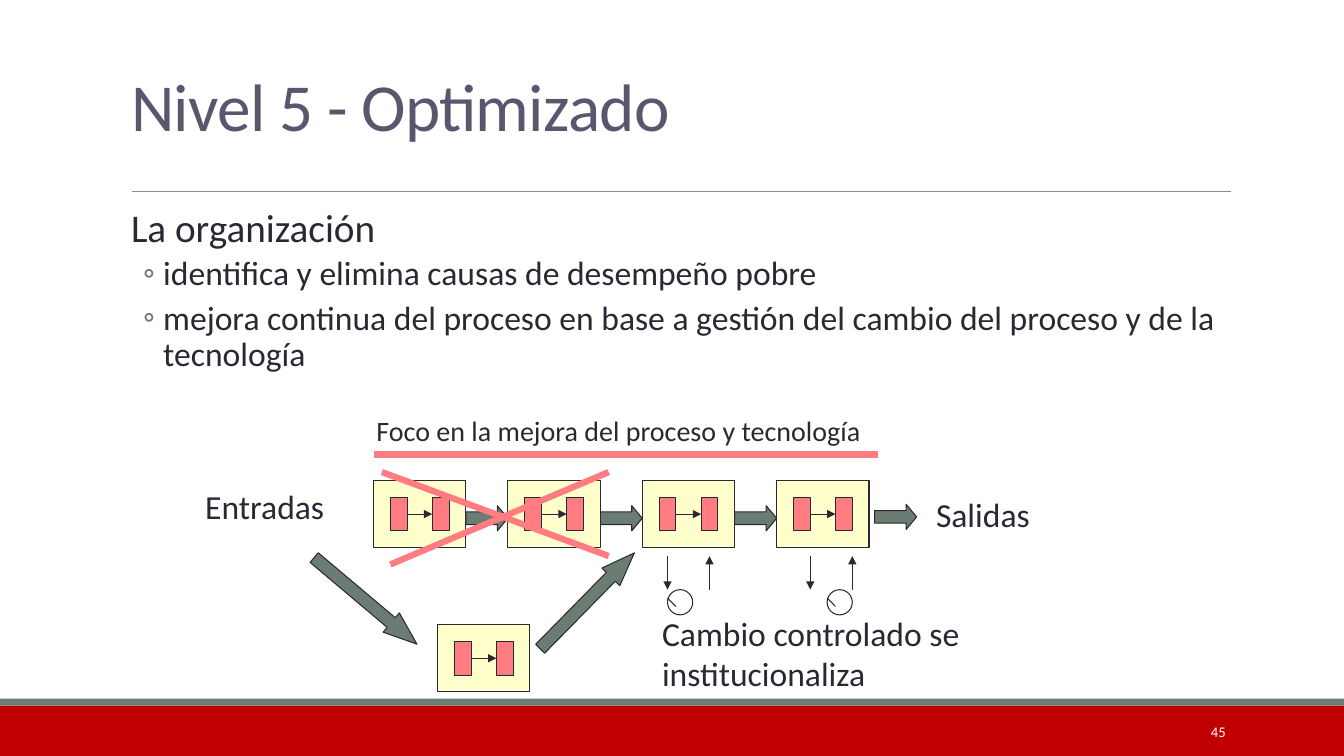
from lxml import etree
from pptx import Presentation
from pptx import util as u
from pptx.dml.color import RGBColor
from pptx.enum import shapes, text
from pptx.oxml import ns

Pt = u.Pt
FONT = "Calibri"
COLORS = {
    "ink": "292934", "title": "57576E", "rule": "8A8AA3", "green": "6B7C72",
    "red": "C00000", "pink": "FF7C80", "cream": "FFFFCC", "white": "FFFFFF",
}
KIND = shapes.MSO_SHAPE
STEP_WIDTH, STEP_HEIGHT, STEP_PITCH = 66, 48, 96


def rgb(name):
    return RGBColor.from_string(COLORS[name])


def add_child(parent, tag, **attributes):
    return etree.SubElement(parent, ns.qn(tag), **attributes)


def add_box(container, kind, left, top, width, height, fill=None, line="ink"):
    shape = container.shapes.add_shape(kind, Pt(left), Pt(top), Pt(width), Pt(height))
    shape.shadow.inherit = False
    if fill:
        shape.fill.solid()
        shape.fill.fore_color.rgb = rgb(fill)
    else:
        shape.fill.background()
    if line:
        shape.line.color.rgb = rgb(line)
        shape.line.width = Pt(0.75)
    else:
        shape.line.fill.background()
    return shape


def add_line(container, start, end, color="ink", width=0.75, arrow=False):
    line = container.shapes.add_connector(
        shapes.MSO_CONNECTOR.STRAIGHT, *(Pt(value) for value in (*start, *end)))
    line.line.color.rgb = rgb(color)
    line.line.width = Pt(width)
    if arrow:
        add_child(line.line._get_or_add_ln(), "a:tailEnd", type="triangle")
    add_child(line._element.spPr, "a:effectLst")
    return line


def format_runs(paragraph, size, color):
    for run in paragraph.runs:
        run.font.name = FONT
        run.font.size = Pt(size)
        run.font.color.rgb = rgb(color)


def add_label(slide, words, left, top, width, height, size=24, color="ink"):
    label = slide.shapes.add_textbox(Pt(left), Pt(top), Pt(width), Pt(height))
    frame = label.text_frame
    frame.word_wrap = True
    frame.text = words
    format_runs(frame.paragraphs[0], size, color)
    return frame


def place(shape, left, top, width, height):
    shape.left, shape.top, shape.width, shape.height = map(Pt, (left, top, width, height))


def add_frame(slide, width, height):
    """Footer bands, page number and the rule under the title."""
    add_box(slide, KIND.RECTANGLE, 0, height - 36, width, 36, "red", None)
    add_box(slide, KIND.RECTANGLE, 0, height - 41, width, 5, "green", None)
    add_line(slide, (94.3, 136.8), (879, 136.8), "rule", 0.5)
    number = add_label(slide, "45", 780, height - 32, 102.6, 29, 10.5, "white")
    number.vertical_anchor = text.MSO_ANCHOR.MIDDLE
    number.paragraphs[0].alignment = text.PP_ALIGN.RIGHT


def fill_title(title, words):
    place(title, 86.4, 22.3, 792, 114.5)
    title.text_frame.text = words
    title.text_frame.vertical_anchor = text.MSO_ANCHOR.MIDDLE
    paragraph = title.text_frame.paragraphs[0]
    paragraph.alignment = text.PP_ALIGN.LEFT
    paragraph.line_spacing = 0.85
    format_runs(paragraph, 48, "title")
    for run in paragraph.runs:
        run.font._element.set("spc", "-50")


def set_bullet(paragraph, margin, indent, character=None):
    properties = paragraph._p.get_or_add_pPr()
    properties.set("marL", str(Pt(margin)))
    properties.set("indent", str(Pt(indent)))
    if character:
        color = add_child(properties, "a:buClr")
        add_child(color, "a:srgbClr", val=COLORS["green"])
        add_child(properties, "a:buFont", typeface=FONT)
        add_child(properties, "a:buChar", char=character)
    else:
        add_child(properties, "a:buNone")


def fill_body(body, heading, points):
    place(body, 86.4, 145.4, 792, 317)
    frame = body.text_frame
    frame.auto_size = text.MSO_AUTO_SIZE.NONE
    frame.margin_left = frame.margin_right = 0
    frame.text = "\n".join([heading, *points])
    for index, paragraph in enumerate(frame.paragraphs):
        is_point = index > 0
        paragraph.level = int(is_point)
        paragraph.line_spacing = 0.9
        paragraph.space_before = Pt(2 if is_point else 12)
        paragraph.space_after = Pt(4 if is_point else 2)
        if is_point:
            set_bullet(paragraph, 30.2, -14.4, "◦")
        else:
            set_bullet(paragraph, 7.2, 0)
        format_runs(paragraph, 24 if is_point else 28, "ink")


def add_block_arrow(slide, left, top, width, head, rotation=0):
    arrow = add_box(slide, KIND.RIGHT_ARROW, left, top, width, 18, "green")
    arrow.adjustments[1] = head
    arrow.rotation = rotation


def add_step(slide, left, top):
    """One process step: two pink blocks joined by an arrow on a cream card."""
    group = slide.shapes.add_group_shape()
    add_box(group, KIND.RECTANGLE, left, top, STEP_WIDTH, STEP_HEIGHT, "cream")
    source, target = (
        add_box(group, KIND.RECTANGLE, left + offset, top + 12, 12, 24, "pink")
        for offset in (12, 42))
    middle = top + STEP_HEIGHT / 2
    link = add_line(group, (left + 24, middle), (left + 42, middle), arrow=True)
    link.begin_connect(source, 3)
    link.end_connect(target, 1)


def add_gauge(slide, left, top, dial_offset):
    """A down and an up arrow over a small dial."""
    add_line(slide, (left, top), (left, top + 24), arrow=True)
    add_line(slide, (left + 30, top + 24), (left + 30, top), arrow=True)
    dial = left + dial_offset
    add_box(slide, KIND.OVAL, dial, top + 24, 18, 18)
    add_line(slide, (dial, top + 30), (dial + 6, top + 36))


def add_process(slide, left, top):
    """The process chain, its replaced steps and its labels."""
    add_label(slide, "Entradas", left - 127.3, top, 114, 36)
    add_label(slide, "Salidas", left + 394.7, top + 6, 132, 36)
    add_label(slide, "Cambio controlado se institucionaliza",
              left + 199, top + 91, 372, 65.5)
    add_label(slide, "Foco en la mejora del proceso y tecnología",
              left - 5, top - 51.6, 432, 31, 20)

    steps = [left + index * STEP_PITCH for index in range(4)]
    for step in steps[:-1]:
        add_block_arrow(slide, step + STEP_WIDTH, top + 18, 30, 0.417)
    add_block_arrow(slide, steps[-1] + STEP_WIDTH + 4, top + 17, 30, 0.417)
    for step in steps:
        add_step(slide, step, top)

    add_line(slide, (left + 6, top - 6), (left + 168, top + 54), "pink", 4.5)
    add_line(slide, (left + 12, top + 60), (left + 168, top - 6), "pink", 4.5)
    add_line(slide, (left, top - 18.5), (left + 360, top - 18.5), "pink", 4.5)

    add_step(slide, left + 45.8, top + 103)
    add_block_arrow(slide, left - 53.7, top + 77, 96, 1.333, 40.1)
    add_block_arrow(slide, left + 104.7, top + 77, 96, 1.333, 314.5)
    add_gauge(slide, left + 210, top + 54, 0)
    add_gauge(slide, left + 312, top + 54, 12)


def main():
    presentation = Presentation()
    presentation.slide_width, presentation.slide_height = Pt(960), Pt(540)
    slide = presentation.slides.add_slide(presentation.slide_layouts[1])
    add_frame(slide, 960, 540)
    fill_title(slide.shapes.title, "Nivel 5 - Optimizado")
    fill_body(slide.placeholders[1], "La organización", [
        "identifica y elimina causas de desempeño pobre",
        "mejora continua del proceso en base a gestión del cambio del proceso "
        "y de la tecnología",
    ])
    add_process(slide, 266.8, 343.2)
    presentation.save("out.pptx")


if __name__ == "__main__":
    main()
